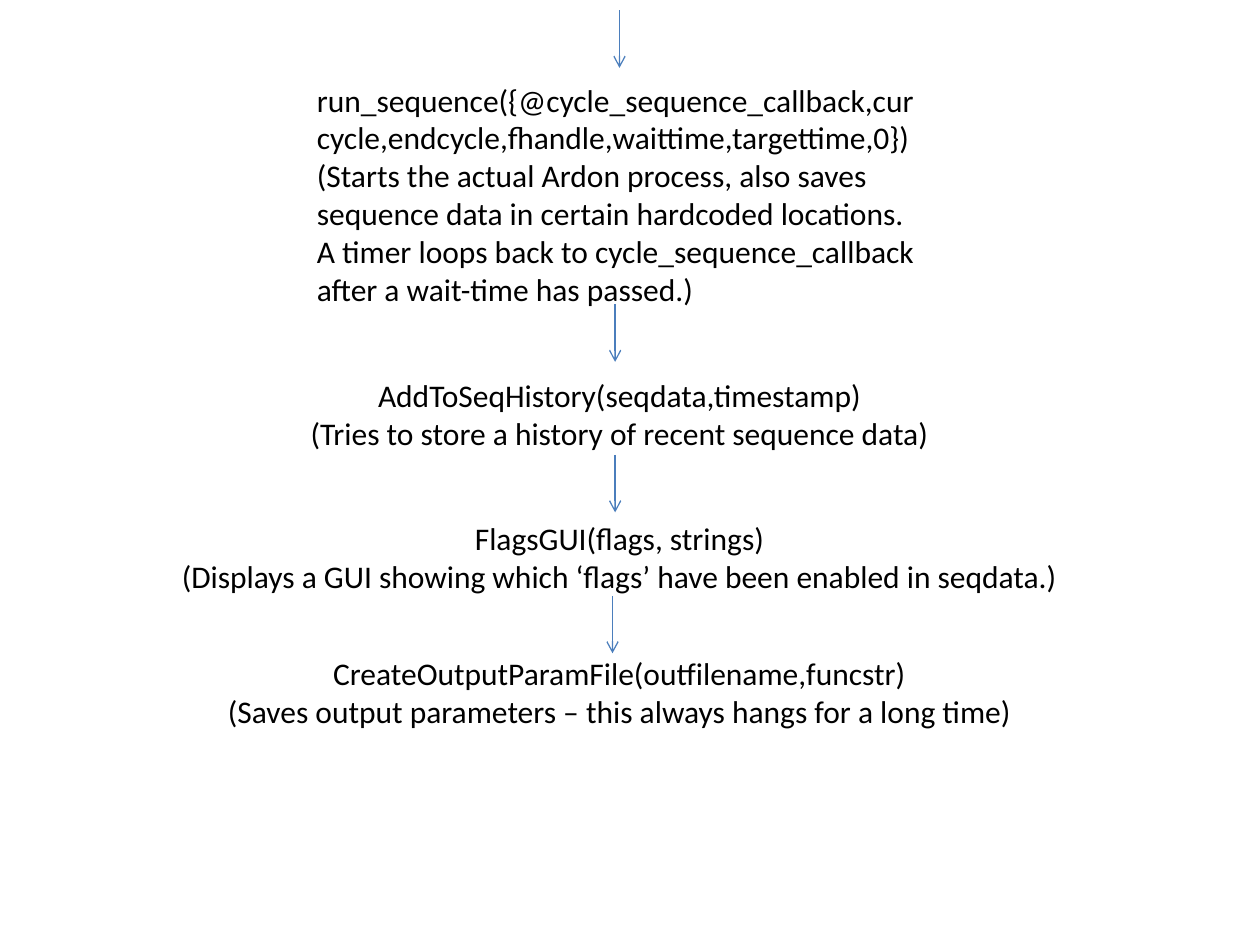
from lxml import etree
from pptx import Presentation
from pptx import util as u
from pptx.dml.color import RGBColor
from pptx.enum import shapes, text
from pptx.oxml.ns import qn

HUES = {"ink": "000000", "line": "4B7EBC"}


class Flow:
    """Draws the steps and arrows of a flow on one slide."""

    font = {"name": "Calibri", "size": u.Pt(18)}

    def __init__(self, slide):
        self.slide = slide

    def step(self, left, top, wide, high, lines, wrap=False):
        box = self.slide.shapes.add_textbox(*map(u.Pt, (left, top, wide, high)))
        frame = box.text_frame
        frame.word_wrap = wrap
        frame.auto_size = text.MSO_AUTO_SIZE.SHAPE_TO_FIT_TEXT
        frame.text = "\n".join(lines)
        for para in frame.paragraphs:
            para.alignment = text.PP_ALIGN.LEFT if wrap else text.PP_ALIGN.CENTER
            for run in para.runs:
                for key, val in self.font.items():
                    setattr(run.font, key, val)
                run.font.color.rgb = RGBColor.from_string(HUES["ink"])

    def arrow(self, x, top, drop=32.8):
        link = self.slide.shapes.add_connector(
            shapes.MSO_CONNECTOR.STRAIGHT, *map(u.Pt, (x, top, x, top + drop)))
        link.line.width = u.Pt(0.75)
        link.line.color.rgb = RGBColor.from_string(HUES["line"])
        etree.SubElement(link.line._get_or_add_ln(), qn("a:tailEnd"), type="arrow")
        etree.SubElement(link._element.spPr, qn("a:effectLst"))


deck = Presentation()
deck.slide_width, deck.slide_height = u.Pt(720), u.Pt(540)
flow = Flow(deck.slides.add_slide(deck.slide_layouts[6]))

flow.step(174, 42.5, 360, 138, [
    "run_sequence({@cycle_sequence_callback,curcycle,endcycle,fhandle,"
    "waittime,targettime,0})",
    "(Starts the actual Ardon process, also saves sequence data in certain "
    "hardcoded locations. A timer loops back to cycle_sequence_callback "
    "after a wait-time has passed.)"], wrap=True)

mid = 354
steps = [
    (211.5, 372, ["AddToSeqHistory(seqdata,timestamp)",
                  "(Tries to store a history of recent sequence data)"]),
    (293, 516, ["FlagsGUI(flags, strings)",
                "(Displays a GUI showing which ‘flags’ have been enabled in seqdata.)"]),
    (370, 467, ["CreateOutputParamFile(outfilename,funcstr)",
                "(Saves output parameters – this always hangs for a long time)"]),
]
for top, wide, lines in steps:
    flow.step(mid - wide / 2, top, wide, 51, lines)

for x, top in [(354, 6), (351.5, 174), (351.5, 260), (350, 340.5)]:
    flow.arrow(x, top)

deck.save("out.pptx")
